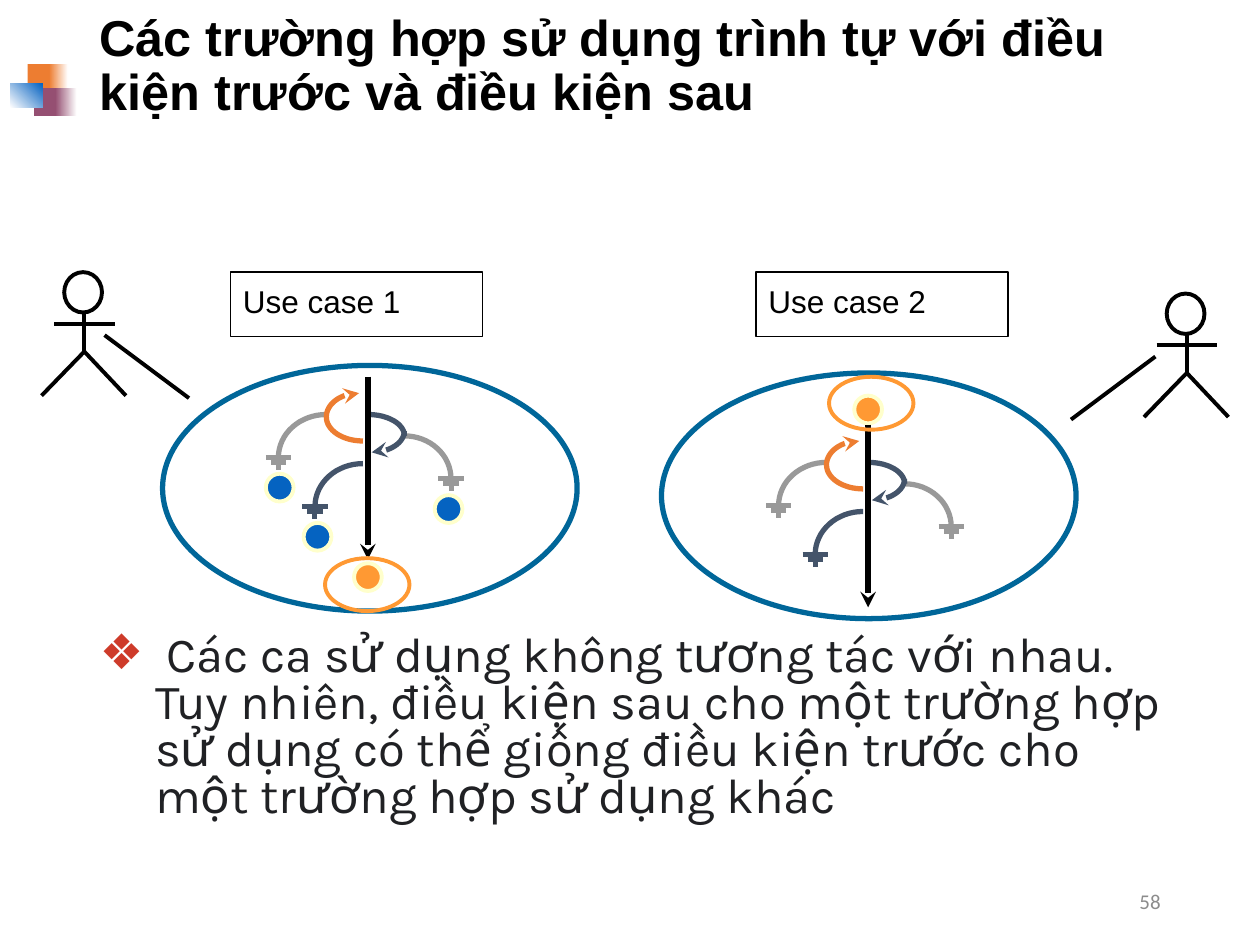
"""Build a slide on sequencing use cases with preconditions and postconditions."""
from dataclasses import dataclass
from math import cos, pi, sin

from lxml.etree import SubElement
from pptx import Presentation
from pptx.dml.color import RGBColor
from pptx.enum.shapes import MSO_CONNECTOR, MSO_SHAPE
from pptx.enum.text import MSO_ANCHOR, MSO_AUTO_SIZE, PP_ALIGN
from pptx.oxml.ns import qn
from pptx.util import Inches, Pt


@dataclass(frozen=True)
class Theme:
    black: str = "000000"
    white: str = "FFFFFF"
    orange: str = "ED7D31"
    plum: str = "954F72"
    blue: str = "0563C1"
    amber: str = "FF9933"
    cream: str = "FFFFCC"
    teal: str = "006699"
    navy: str = "44546A"
    gray: str = "999999"
    number: str = "8C8C8C"
    body: str = "202124"
    bullet: str = "CE3B2A"
    title_size: float = 28.8
    body_size: float = 28
    label_size: float = 18
    number_size: float = 12
    thick: float = 3
    medium: float = 2.25
    thin: float = 0.75


theme = Theme()
presentation = Presentation()
presentation.slide_width = Inches(10)
presentation.slide_height = Inches(7.5)
slide = presentation.slides.add_slide(presentation.slide_layouts[1])
shapes = slide.shapes


def add_outline(preset, box, color=None, width=None, fill=None):
    shape = shapes.add_shape(preset, *[Inches(value) for value in box])
    shape.shadow.inherit = False
    if fill:
        shape.fill.solid()
        shape.fill.fore_color.rgb = RGBColor.from_string(fill)
    else:
        shape.fill.background()
    if color:
        shape.line.color.rgb = RGBColor.from_string(color)
        shape.line.width = Pt(width)
    else:
        shape.line.fill.background()
    return shape


def add_stroke(points, color, width, arrow=None):
    points = [(Inches(x), Inches(y)) for x, y in points]
    if len(points) == 2:
        shape = shapes.add_connector(MSO_CONNECTOR.STRAIGHT, *points[0], *points[1])
    else:
        builder = shapes.build_freeform(*points[0])
        builder.add_line_segments(points[1:], close=False)
        shape = builder.convert_to_shape()
        shape.fill.background()
        shape.shadow.inherit = False
    shape.line.color.rgb = RGBColor.from_string(color)
    shape.line.width = Pt(width)
    if arrow:
        SubElement(shape.line._get_or_add_ln(), qn(f"a:{arrow}")).set("type", "stealth")
    if len(points) == 2:
        SubElement(shape._element.spPr, qn("a:effectLst"))


ornament = [
    ((0.22, 0.51, 0.2, 0.22), theme.orange, None, 0),
    ((0.39, 0.51, 0.15, 0.22), theme.orange, theme.white, 0),
    ((0.27, 0.7, 0.19, 0.22), theme.plum, None, 0),
    ((0.44, 0.7, 0.17, 0.22), theme.plum, theme.white, 0),
    ((0.08, 0.66, 0.26, 0.19), theme.white, theme.blue, 45),
]
for box, start_color, end_color, angle in ornament:
    square = add_outline(MSO_SHAPE.RECTANGLE, box, fill=start_color)
    if end_color:
        square.fill.gradient()
        square.fill.gradient_angle = angle
        for stop, color in zip(square.fill.gradient_stops, (start_color, end_color)):
            stop.color.rgb = RGBColor.from_string(color)

title = shapes.title
title.left, title.top, title.width, title.height = [Inches(v) for v in (0.69, 0.13, 8.62, 0.81)]
title.text_frame.text = "Các trường hợp sử dụng trình tự với điều kiện trước và điều kiện sau"
title.text_frame.auto_size = MSO_AUTO_SIZE.NONE
title.text_frame.vertical_anchor = MSO_ANCHOR.MIDDLE
paragraph = title.text_frame.paragraphs[0]
paragraph.alignment = PP_ALIGN.LEFT
paragraph.line_spacing = 0.9
font = paragraph.runs[0].font
font.name, font.size, font.bold = "Arial", Pt(theme.title_size), True
font.color.rgb = RGBColor.from_string(theme.black)

number = shapes.add_textbox(Inches(7.06), Inches(6.95), Inches(2.25), Inches(0.4))
number.text_frame.word_wrap = True
number.text_frame.vertical_anchor = MSO_ANCHOR.MIDDLE
number.text_frame.text = "58"
paragraph = number.text_frame.paragraphs[0]
paragraph.alignment = PP_ALIGN.RIGHT
font = paragraph.runs[0].font
font.name, font.size = "Calibri", Pt(theme.number_size)
font.color.rgb = RGBColor.from_string(theme.number)

arcs = [
    ((3.21, 3.46), (3.58, 3.8), theme.gray, None, True),
    ((2.59, 3.29), (2.21, 3.63), theme.gray, None, True),
    ((2.88, 3.5), (2.59, 3.31), theme.orange, None, False),
    ((2.85, 3.12), (2.59, 3.31), theme.orange, "headEnd", False),
    ((2.88, 3.68), (2.5, 4.02), theme.navy, None, True),
    ((2.92, 3.29), (3.21, 3.46), theme.navy, None, False),
    ((2.95, 3.59), (3.21, 3.42), theme.navy, "headEnd", False),
]
blue_dots = [(2.41, 4.15), (2.11, 3.76), (3.45, 3.93)]
use_cases = [
    ("Use case 1", 0, 0, (1.29, 2.9), 1.83, (2.81, 4.47), (2.58, 4.43), blue_dots),
    ("Use case 2", 3.97, 0.38, (5.25, 2.96), 6, (6.78, 3.14), (6.58, 2.99), []),
]
steps = 16
for name, shift_x, shift_y, oval, label_left, amber_dot, ring, other_dots in use_cases:
    for (start_x, start_y), (end_x, end_y), color, arrow, grounded in arcs:
        curve = []
        for step in range(steps + 1):
            angle = step / steps * pi / 2
            curve.append((start_x + shift_x + (end_x - start_x) * sin(angle),
                          start_y + shift_y + (end_y - start_y) * (1 - cos(angle))))
        add_stroke(curve, color, theme.thick, arrow)
        if grounded:
            center, base = end_x + shift_x, end_y + shift_y
            for row, half in enumerate((0.1, 0.06, 0.02)):
                y = base + 0.04 * row
                add_stroke([(center - half, y), (center + half, y)], color, theme.thick)
    for dot, color in [(amber_dot, theme.amber)] + [(dot, theme.blue) for dot in other_dots]:
        add_outline(MSO_SHAPE.FLOWCHART_CONNECTOR, (*dot, 0.22, 0.22),
                    theme.cream, theme.medium, color)
    axis = 2.92 + shift_x
    add_stroke([(axis, 2.99 + shift_y), (axis, 4.44 + shift_y)],
               theme.black, theme.thick, "tailEnd")
    add_outline(MSO_SHAPE.OVAL, (*oval, 3.29, 1.95), theme.teal, theme.thick)
    add_outline(MSO_SHAPE.OVAL, (*ring, 0.67, 0.42), theme.amber, theme.medium)
    label = add_outline(MSO_SHAPE.RECTANGLE, (label_left, 2.16, 2, 0.51), theme.black, theme.thin)
    label.text_frame.text = name
    label.text_frame.vertical_anchor = MSO_ANCHOR.TOP
    label.text_frame.margin_top = Inches(0.08)
    paragraph = label.text_frame.paragraphs[0]
    paragraph.alignment = PP_ALIGN.LEFT
    font = paragraph.runs[0].font
    font.name, font.size = "Arial", Pt(theme.label_size)
    font.color.rgb = RGBColor.from_string(theme.black)

actors = [(0.67, 2.16, [(0.83, 2.66), (1.5, 3.16)]), (9.42, 2.33, [(9.17, 2.83), (8.5, 3.33)])]
for center, top, link in actors:
    add_outline(MSO_SHAPE.OVAL, (center - 0.16, top, 0.3, 0.32), theme.black, theme.medium)
    hip = top + 0.63
    limbs = [
        [(center, top + 0.33), (center, hip)],
        [(center - 0.24, top + 0.41), (center + 0.24, top + 0.41)],
        [(center - 0.34, hip + 0.35), (center, hip), (center + 0.33, hip + 0.35)],
    ]
    for points in limbs + [link]:
        add_stroke(points, theme.black, theme.medium)

body = slide.placeholders[1]
body.left, body.top, body.width, body.height = [Inches(v) for v in (0.69, 4.99, 8.62, 1.6)]
body.text_frame.auto_size = MSO_AUTO_SIZE.NONE
body.text_frame.text = (
    " Các ca sử dụng không tương tác với nhau. Tuy nhiên, điều kiện sau cho một trường hợp "
    "sử dụng có thể giống điều kiện trước cho một trường hợp sử dụng khác")
paragraph = body.text_frame.paragraphs[0]
paragraph.line_spacing = 0.8
paragraph.space_before = Pt(0)
properties = paragraph._p.get_or_add_pPr()
properties.set("marL", str(Inches(0.44)))
properties.set("indent", str(Inches(-0.44)))
SubElement(SubElement(properties, qn("a:buClr")), qn("a:srgbClr")).set("val", theme.bullet)
SubElement(properties, qn("a:buChar")).set("char", "❖")
font = paragraph.runs[0].font
font.name, font.size = "Karla", Pt(theme.body_size)
font.color.rgb = RGBColor.from_string(theme.body)

presentation.save("out.pptx")
